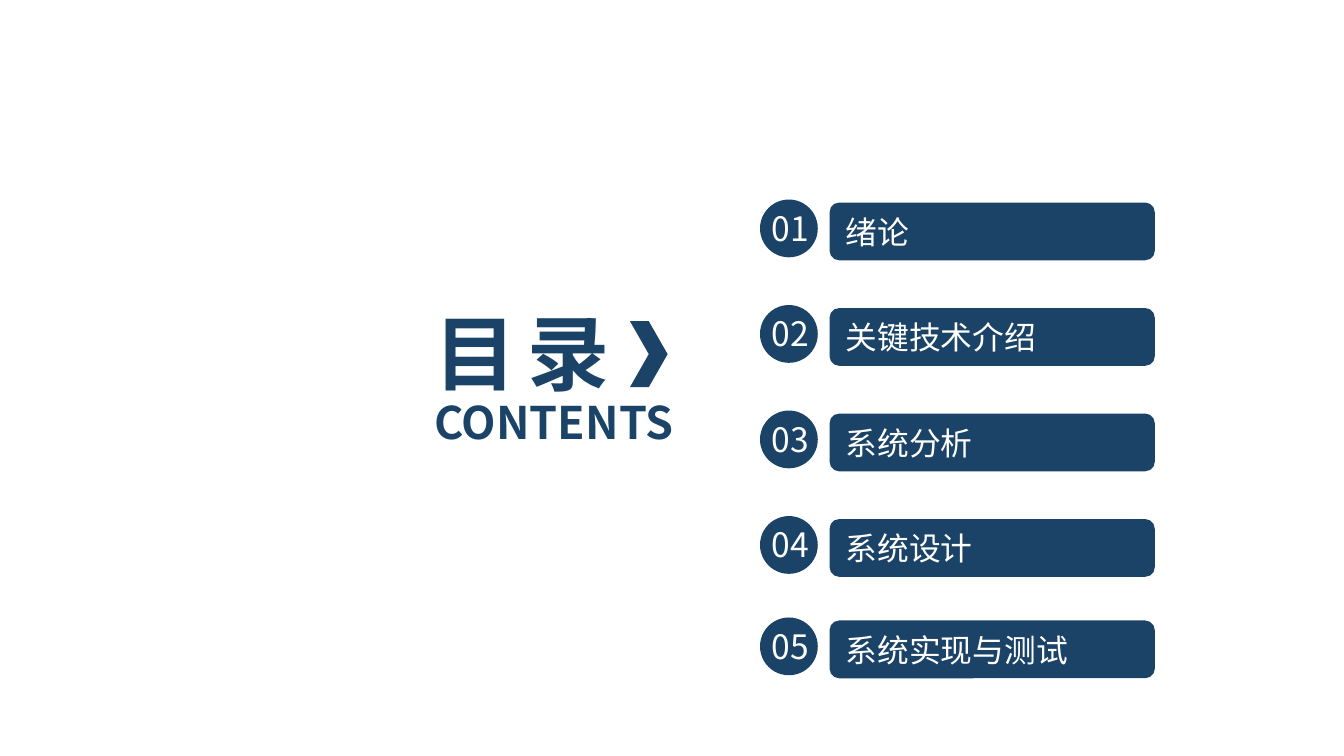
from collections import namedtuple

from pptx import Presentation
from pptx.dml.color import RGBColor
from pptx.enum.shapes import MSO_SHAPE
from pptx.enum.text import MSO_ANCHOR, MSO_AUTO_SIZE, PP_ALIGN
from pptx.oxml.ns import qn
from pptx.util import Inches, Pt

COLORS = {"navy": "1B4367", "white": "FFFFFF"}
FONT = "Noto Sans CJK SC"
COLUMNS, ROWS = 1000, 562.5
CELL = Inches(10) // COLUMNS
CHAPTERS = ["绪论", "关键技术介绍", "系统分析", "系统设计", "系统实现与测试"]
CHAPTER_ROWS = [148.5, 227, 305.5, 384, 459.5]

Box = namedtuple("Box", "left top width height")


def within(box, left, top, width, height):
    return Box(box.left + left, box.top + top, width, height)


def lengths(box):
    return [round(value * CELL) for value in box]


def set_values(target, values):
    for name, value in values.items():
        setattr(target, name, value)


def write(shape, text, size, color, align=PP_ALIGN.LEFT, bold=False, spacing=0):
    frame = shape.text_frame
    set_values(frame, {
        "word_wrap": True,
        "auto_size": MSO_AUTO_SIZE.NONE,
        "vertical_anchor": MSO_ANCHOR.MIDDLE,
    })
    paragraph = frame.paragraphs[0]
    set_values(paragraph, {"alignment": align, "line_spacing": 1.0})
    run = paragraph.add_run()
    run.text = text
    set_values(run.font, {"name": FONT, "size": Pt(size), "bold": bold})
    run.font.color.rgb = RGBColor.from_string(COLORS[color])
    properties = run.font._element
    properties.append(properties.makeelement(qn("a:ea"), {"typeface": FONT}))
    if spacing:
        properties.set("spc", str(round(spacing * 100)))


def add_solid(shapes, kind, box):
    shape = shapes.add_shape(kind, *lengths(box))
    shape.shadow.inherit = False
    shape.fill.solid()
    shape.fill.fore_color.rgb = RGBColor.from_string(COLORS["navy"])
    shape.line.fill.background()
    return shape


def add_heading(slide, box):
    title = slide.shapes.title
    names = ("left", "top", "width", "height")
    set_values(title, dict(zip(names, lengths(within(box, 0, 0, 235, 84)))))
    write(title, "目 录", 44, "navy", bold=True, spacing=-2.2)
    subtitle = slide.shapes.add_textbox(*lengths(within(box, 0, 69, 231, 50)))
    write(subtitle, "CONTENTS", 24, "navy", bold=True)
    add_solid(slide.shapes, MSO_SHAPE.CHEVRON, within(box, 155.5, 19, 28, 49))


def add_chapter(slide, box, number, name):
    bar = add_solid(slide.shapes, MSO_SHAPE.ROUNDED_RECTANGLE, within(box, 55, 2.25, 242, 43))
    write(bar, name, 17, "white")
    badge = slide.shapes.add_group_shape()
    add_solid(badge.shapes, MSO_SHAPE.OVAL, within(box, 3.25, 0, 43, 43))
    label = badge.shapes.add_textbox(*lengths(within(box, 0, 1, 51.5, 40)))
    write(label, f"{number:02d}", 18, "white", PP_ALIGN.CENTER)


def main():
    presentation = Presentation()
    set_values(presentation, {
        "slide_width": CELL * COLUMNS,
        "slide_height": round(CELL * ROWS),
    })
    slide = presentation.slides.add_slide(presentation.slide_layouts[5])
    slide.background.fill.solid()
    slide.background.fill.fore_color.rgb = RGBColor.from_string(COLORS["white"])
    add_heading(slide, Box(313.25, 220, 235, 119))
    for number, (name, row) in enumerate(zip(CHAPTERS, CHAPTER_ROWS), 1):
        add_chapter(slide, Box(562.25, row, 297, 46), number, name)
    presentation.save("out.pptx")


if __name__ == "__main__":
    main()
